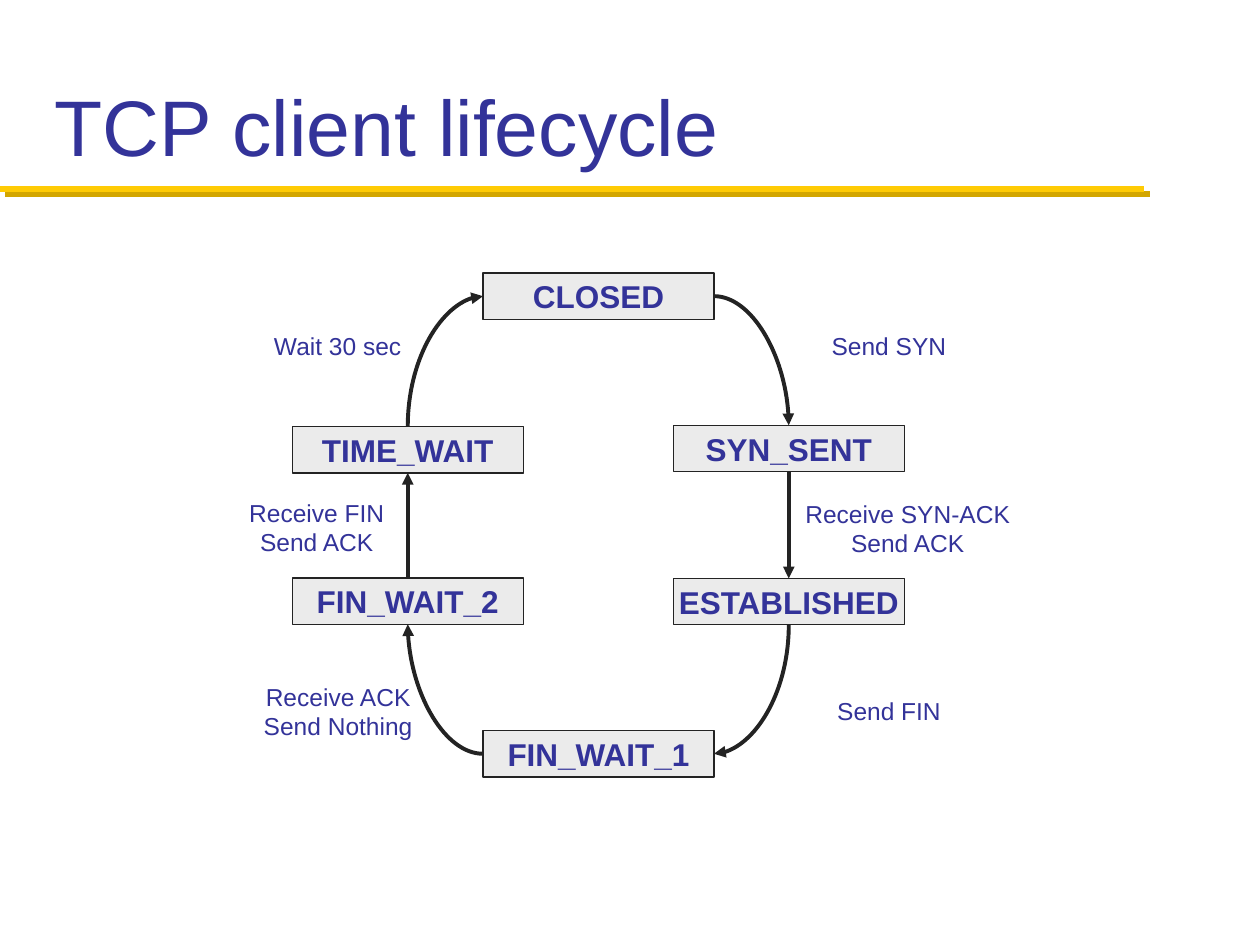
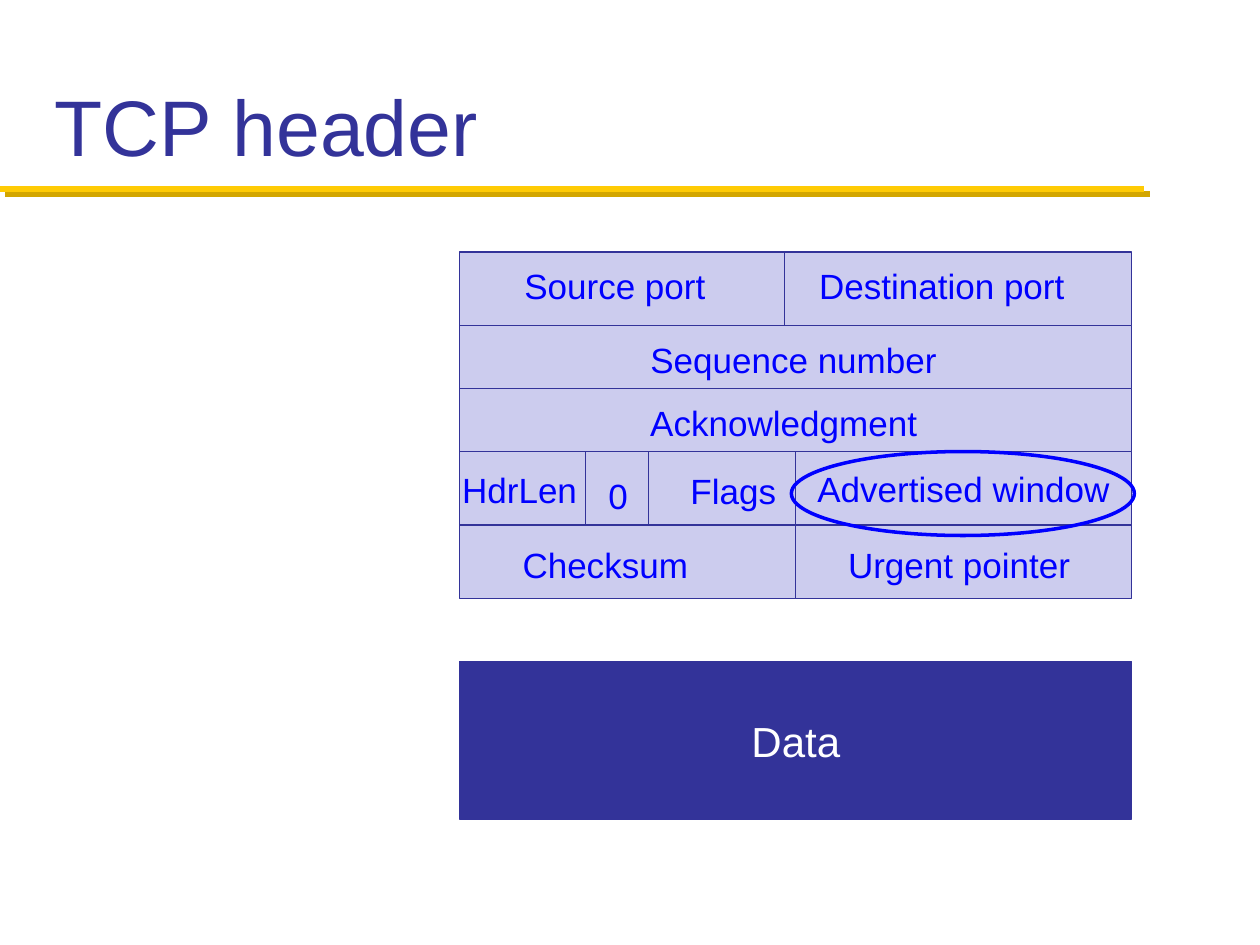
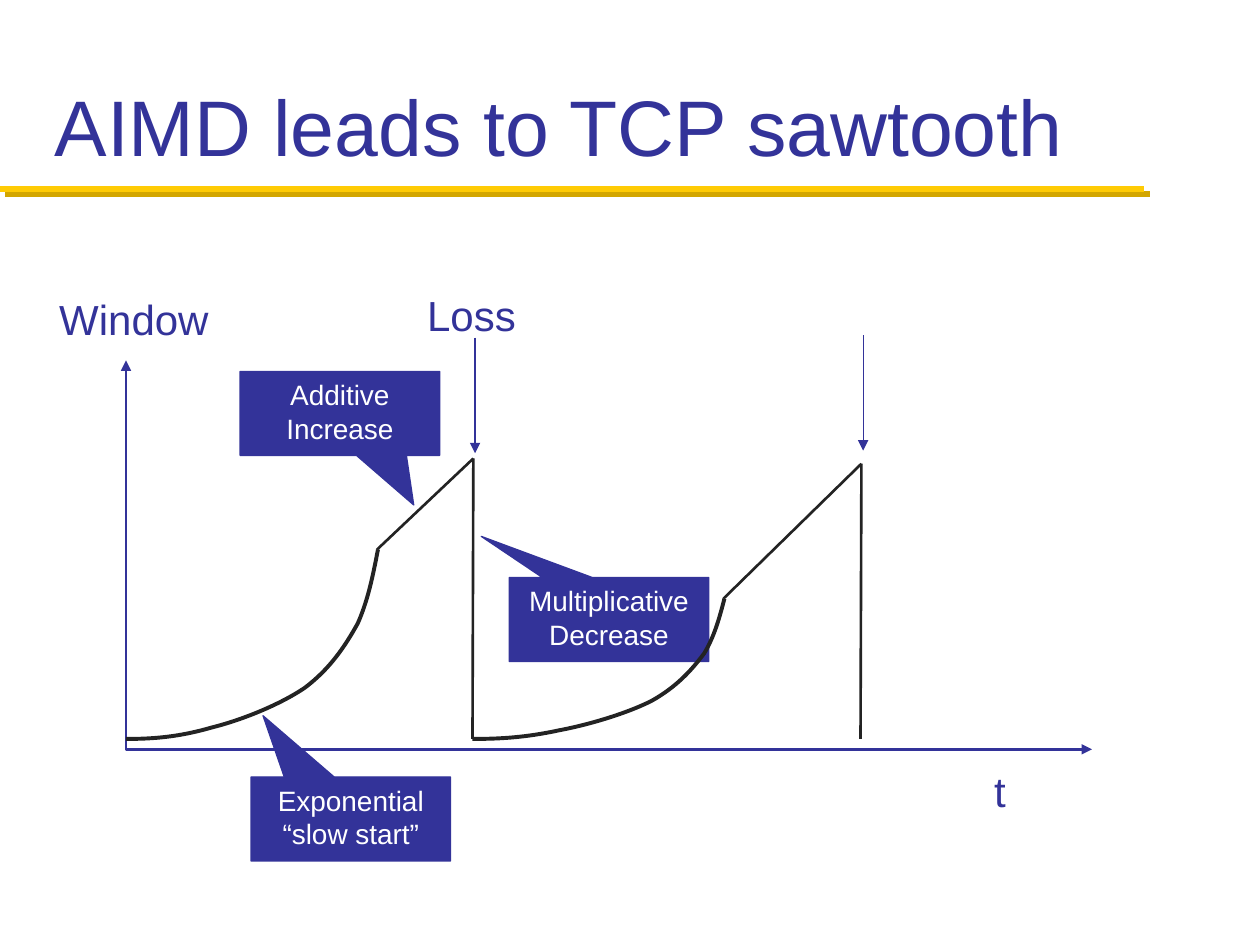
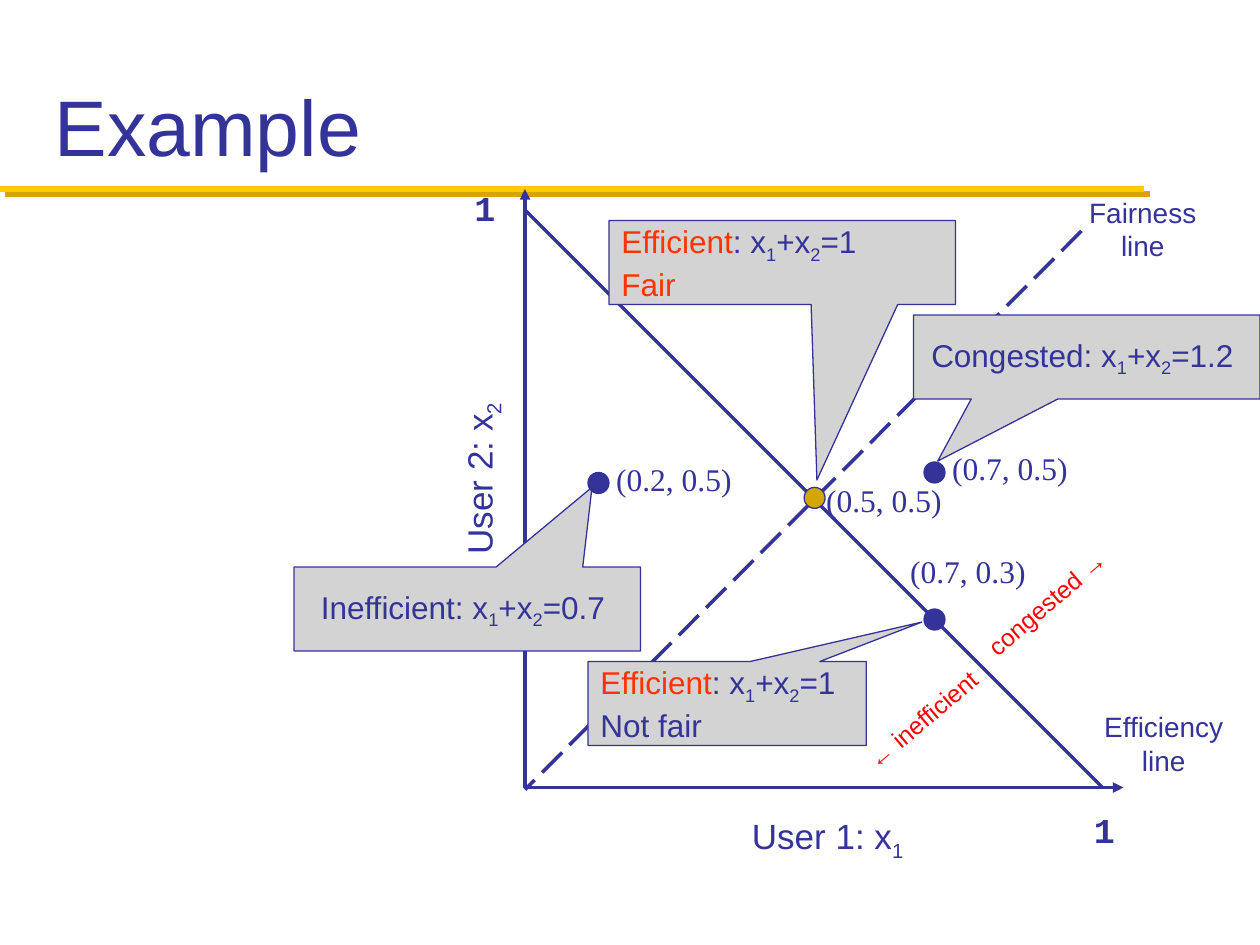
from lxml.etree import SubElement
from pptx import Presentation
from pptx.dml.color import RGBColor
from pptx.enum.dml import MSO_LINE
from pptx.enum.shapes import MSO_CONNECTOR as LINK, MSO_SHAPE as SHAPE
from pptx.enum.text import MSO_ANCHOR as ANCHOR, MSO_AUTO_SIZE as FIT, PP_ALIGN as ALIGN
from pptx.oxml.ns import qn
from pptx.util import Pt

# Shared look
NAVY, BLUE, WHITE = "333399", "0000FF", "FFFFFF"
YELLOW, GOLD = "FFCB05", "D3A600"
INK, PALE, LILAC, GRAY = "232323", "EBEBEB", "CCCCEE", "D3D3D3"
ORANGE, RED = "FF3300", "FF0000"
SUB = {"sub": True}
TOP, LEFT, BOTTOM, RIGHT = range(4)


def rgb(value):
    return RGBColor.from_string(value)


def points(*values):
    return [Pt(value) for value in values]


# Text
def add_span(para, text, size, color, font, bold=False, sub=False):
    span = para.add_run()
    span.text = text
    span.font.size = Pt(size)
    span.font.name = font
    span.font.bold = bold
    span.font.color.rgb = rgb(color)
    if sub:
        span._r.get_or_add_rPr().set("baseline", "-25000")


def write(box, paras, size=14, color=NAVY, font="Arial", bold=False,
          align=ALIGN.LEFT, anchor=ANCHOR.TOP, wrap=False, fit=FIT.NONE):
    """Fill a box; paras is a string or a list of lists of (text, format) spans."""
    if isinstance(paras, str):
        paras = [[(line, {})] for line in paras.split("\n")]
    frame = box.text_frame
    frame.word_wrap = wrap
    frame.auto_size = fit
    frame.vertical_anchor = anchor
    base = {"size": size, "color": color, "font": font, "bold": bold}
    for index, spans in enumerate(paras):
        para = frame.paragraphs[0] if index == 0 else frame.add_paragraph()
        para.alignment = align
        for text, extra in spans:
            for part, line in enumerate(text.split("\v")):
                if part:
                    para.add_line_break()
                add_span(para, line, **{**base, **extra})


def add_label(page, place, paras, fill=None, turn=0, **style):
    box = page.shapes.add_textbox(*points(*place))
    if fill:
        box.fill.solid()
        box.fill.fore_color.rgb = rgb(fill)
    write(box, paras, **{"fit": FIT.SHAPE_TO_FIT_TEXT, **style})
    box.rotation = turn
    return box


# Shapes and lines
def set_line(item, color, width, arrows=()):
    item.line.color.rgb = rgb(color)
    item.line.width = Pt(width)
    for end in arrows:
        SubElement(item.line._get_or_add_ln(), qn(f"a:{end}End"), type="triangle")


def add_box(page, kind, place, fill=None, line=NAVY, width=0.75):
    box = page.shapes.add_shape(kind, *points(*place))
    box.shadow.inherit = False
    if fill:
        box.fill.solid()
        box.fill.fore_color.rgb = rgb(fill)
    else:
        box.fill.background()
    set_line(box, line, width)
    return box


def add_callout(page, place, tip, paras, fill, **style):
    box = add_box(page, SHAPE.RECTANGULAR_CALLOUT, place, fill)
    box.adjustments[0], box.adjustments[1] = tip
    write(box, paras, wrap=True, **style)


def add_line(page, start, end, color=NAVY, width=2, arrows=(), dash=None):
    line = page.shapes.add_connector(LINK.STRAIGHT, *points(*start, *end))
    set_line(line, color, width, arrows)
    if dash:
        line.line.dash_style = dash
    SubElement(line.element.spPr, qn("a:effectLst"))
    return line


def add_outline(page, corners, color, width, arrows=()):
    corners = [points(*corner) for corner in corners]
    builder = page.shapes.build_freeform(*corners[0])
    builder.add_line_segments(corners[1:], close=False)
    outline = builder.convert_to_shape()
    outline.shadow.inherit = False
    outline.fill.background()
    set_line(outline, color, width, arrows)
    return outline


def join(page, first, first_side, second, second_side):
    """Arrow between two states: straight, or a quarter bend between unlike sides."""
    upright = (TOP, BOTTOM)
    bent = (first_side in upright) != (second_side in upright)
    arrow = page.shapes.add_connector(LINK.CURVE if bent else LINK.STRAIGHT, 0, 0, 0, 0)
    arrow.begin_connect(first, first_side)
    arrow.end_connect(second, second_side)
    set_line(arrow, INK, 2.25, ["tail"])
    properties = arrow.element.spPr
    SubElement(properties, qn("a:effectLst"))
    if not bent:
        return
    properties.find(qn("a:prstGeom")).set("prst", "curvedConnector2")
    if first_side in upright:
        # A bend that starts upright is a turned one with its sides swapped
        middle_x = arrow.left + arrow.width // 2
        middle_y = arrow.top + arrow.height // 2
        frame = properties.find(qn("a:xfrm"))
        for flip in ("flipH", "flipV"):
            frame.attrib.pop(flip, None)
        arrow.width, arrow.height = arrow.height, arrow.width
        arrow.left = middle_x - arrow.width // 2
        arrow.top = middle_y - arrow.height // 2
        arrow.rotation = 90 if first_side == BOTTOM else 270


# Pages
def add_page(deck, title):
    page = deck.slides.add_slide(deck.slide_layouts[5])
    head = page.shapes.title
    head.left, head.top, head.width, head.height = points(24, 12, 672, 90)
    write(head, title, size=45, anchor=ANCHOR.BOTTOM, wrap=True)
    return page


def add_band(page):
    """Draw the yellow rule with its gold shadow and move it to the layout."""
    band = add_line(page, (0, 108), (654, 108), YELLOW, 3.5)
    effects = band.element.spPr.find(qn("a:effectLst"))
    shadow = SubElement(effects, qn("a:outerShdw"), blurRad="0",
                        dist=str(Pt(4.2)), dir="2700000", algn="ctr", rotWithShape="0")
    SubElement(shadow, qn("a:srgbClr"), val=GOLD)
    page.slide_layout.shapes.element.append(band.element)


def lifecycle(deck):
    page = add_page(deck, "TCP client lifecycle")
    add_band(page)

    # States
    places = {
        "CLOSED": (276, 156), "SYN_SENT": (384.75, 243),
        "ESTABLISHED": (384.75, 330.5), "FIN_WAIT_1": (276, 417.5),
        "FIN_WAIT_2": (167, 330.25), "TIME_WAIT": (167, 243.75),
    }
    states = {}
    for name, corner in places.items():
        states[name] = add_box(page, SHAPE.RECTANGLE, (*corner, 132, 26.5), PALE, INK)
        write(states[name], name, size=18, bold=True, align=ALIGN.CENTER,
              anchor=ANCHOR.MIDDLE)

    # Transitions, clockwise from the first state
    sides = [(RIGHT, TOP), (BOTTOM, TOP), (BOTTOM, RIGHT),
             (LEFT, BOTTOM), (TOP, BOTTOM), (TOP, LEFT)]
    ring = list(states.values())
    for index, (leave, enter) in enumerate(sides):
        join(page, ring[index], leave, ring[(index + 1) % len(ring)], enter)

    for place, text in [
        ((467.75, 185.5, 80.5, 24.5), "Send SYN"),
        ((452.5, 281.5, 132.5, 41), "Receive SYN-ACK\nSend ACK"),
        ((471, 394, 74, 24.5), "Send FIN"),
        ((143.25, 386, 100, 41), "Receive ACK\nSend Nothing"),
        ((135, 281, 92, 41), "Receive FIN\nSend ACK"),
        ((149, 185.5, 88, 24.5), "Wait 30 sec"),
    ]:
        add_label(page, place, text, align=ALIGN.CENTER)


def header(deck):
    page = add_page(deck, "TCP header")

    # Field grid: row height and, where a row is split, the x of the split
    left, right, top = 262.75, 646.75, 144
    for height, splits in [(42, [448.5]), (36, []), (36, []), (42, [454.5]), (42, [454.5])]:
        edges = [left, *splits, right]
        for start, end in zip(edges, edges[1:]):
            add_box(page, SHAPE.RECTANGLE, (start, top, end - start, height), LILAC)
        top += height
    for x in (334.75, 370.75):
        add_line(page, (x, 258), (x, 300), width=0.75)

    # Field names
    for x, y, width, name in [
        (292.5, 147.75, 118, "Source port"), (461, 147.75, 155, "Destination port"),
        (364.5, 189.75, 178, "Sequence number"), (364.5, 225.75, 168.5, "Acknowledgment"),
        (460, 263.5, 183, "Advertised window"), (387.5, 264.75, 64, "Flags"),
        (340.5, 267.75, 26, "0"), (291.5, 307, 109, "Checksum"),
        (477.5, 307, 143, "Urgent pointer"),
    ]:
        add_label(page, (x, y, width, 31), name, LILAC, size=20, color=BLUE)
    add_label(page, (257, 264.25, 84, 31), "HdrLen", size=20, color=BLUE, wrap=True)

    data = add_box(page, SHAPE.RECTANGLE, (left, 378, right - left, 90), NAVY)
    write(data, "Data", size=24, color=WHITE, align=ALIGN.CENTER, anchor=ANCHOR.MIDDLE)
    add_box(page, SHAPE.OVAL, (452.25, 258, 196, 48), line=BLUE, width=2)


def add_slow_start(page, left, top, width, height):
    """Exponential growth curve, as four cubic segments from the top right."""
    shares = [(1, 0), (0.98, 0.14), (0.96, 0.27), (0.92, 0.39), (0.87, 0.51),
              (0.81, 0.63), (0.71, 0.73), (0.61, 0.82), (0.46, 0.9), (0.34, 0.94),
              (0.21, 0.99), (0.11, 1), (0, 1)]
    corners = [(left + x * width, top + y * height) for x, y in shares]
    curve = add_outline(page, corners, INK, 2.25)
    track = next(curve.element.iter(qn("a:path")))
    steps = track.findall(qn("a:lnTo"))
    for index in range(0, len(steps), 3):
        bend = SubElement(track, qn("a:cubicBezTo"))
        for step in steps[index:index + 3]:
            bend.append(step[0])
            track.remove(step)


def sawtooth(deck):
    page = add_page(deck, "AIMD leads to TCP sawtooth")

    # Axes and loss marks
    add_outline(page, [(72, 206), (72, 428.25), (624, 428.25)], NAVY, 1.5, ["head", "tail"])
    for x, y in [(271.5, 193), (493.25, 191.5)]:
        add_line(page, (x, y), (x, y + 66), width=0.75, arrows=["tail"])
    for place, text in [((237, 162, 65.5, 36), "Loss"), ((561, 434, 21, 36), "t"),
                        ((26.75, 164, 101, 36), "Window")]:
        add_label(page, place, text, size=24)

    # Phases
    for corner, tip, text in [
        ((143.5, 444), (-0.44, -1.23), "Exponential\v“slow start”"),
        ((291, 330), (-0.64, -0.99), "Multiplicative Decrease"),
        ((137.25, 212.25), (0.37, 1.09), "Additive Increase"),
    ]:
        add_callout(page, (*corner, 114, 48), tip, text, NAVY, size=16, color=WHITE,
                    align=ALIGN.CENTER)

    # Teeth: slow start, linear rise, drop
    floor = 422.25
    for left, bend_y, peak_x, peak_y in [(72, 314, 270.5, 262), (270, 342, 492.25, 265)]:
        add_slow_start(page, left, bend_y, 144, floor - bend_y)
        add_line(page, (left + 143.5, bend_y), (peak_x, peak_y), INK, 1.5)
        add_line(page, (peak_x, peak_y), (peak_x - 0.5, floor), INK, 1.5)


def sum_spans(word, total, color=NAVY):
    return [(word, {"color": color}), (": x", {}), ("1", SUB), ("+x", {}), ("2", SUB),
            (f"={total}", {})]


def example(deck):
    page = add_page(deck, "Example")

    # Axes, fairness line and efficiency line
    origin = (300, 450)
    add_line(page, origin, (300, 108), arrows=["tail"])
    add_line(page, (618, 132), (300, 451.25), dash=MSO_LINE.LONG_DASH)
    add_line(page, origin, (642, 450), arrows=["tail"])
    add_line(page, (300, 120), (630, 450))

    for place, user, turn in [((422, 462, 102, 31), "1", 0), ((222.5, 258, 102, 31), "2", 270)]:
        add_label(page, place, [[(f"User {user}: x", {}), (user, SUB)]], turn=turn,
                  size=20, align=ALIGN.CENTER)
    for place, text in [((615, 108, 76, 46), "Fairness\nline"),
                        ((623.5, 402, 83, 46), "Efficiency\nline")]:
        add_label(page, place, text, size=16, align=ALIGN.CENTER)
    for corner in [(618, 458.5), (264, 103)]:
        add_label(page, (*corner, 24.5, 29), "1", size=20, font="Courier New", bold=True)

    # Allocations: callout, dot and coordinates
    for place, tip, paras, align, dot, fill, corner, text in [
        ((168, 324, 198, 48), (0.36, -1.45), [sum_spans("Inefficient", "0.7 ")],
         ALIGN.CENTER, (336, 270), NAVY, (345, 259.25), "(0.2, 0.5)"),
        ((522, 180, 198, 48), (-0.43, 1.24), [sum_spans("Congested", "1.2 ")],
         ALIGN.CENTER, (528, 264), NAVY, (537, 253.25), "(0.7, 0.5)"),
        ((348, 126, 198, 48), (0.1, 2.59),
         [sum_spans("Efficient", "1", ORANGE), [("Fair", {"color": ORANGE})]],
         ALIGN.LEFT, (459.5, 278.5), GOLD, (465, 271.25), "(0.5, 0.5)"),
        ((336, 378, 159, 48), (0.7, -0.97),
         [sum_spans("Efficient", "1", ORANGE), [("Not fair", {})]],
         ALIGN.LEFT, (528, 348), NAVY, (513, 311.75), "(0.7, 0.3)"),
    ]:
        add_callout(page, place, tip, paras, GRAY, size=18, align=align, anchor=ANCHOR.MIDDLE)
        add_box(page, SHAPE.OVAL, (*dot, 12, 12), fill)
        add_label(page, (*corner, 81.5, 29), text, size=18, font="Times New Roman")

    # Sides of the efficiency line
    for place, text in [((549.5, 332.5, 97, 24), "congested →"),
                        ((481, 399, 92, 24), "← inefficient")]:
        add_label(page, place, text, turn=319.6, color=RED, align=ALIGN.CENTER)


def main():
    deck = Presentation()
    deck.slide_width, deck.slide_height = points(720, 540)
    for build in (lifecycle, header, sawtooth, example):
        build(deck)
    deck.save("out.pptx")


if __name__ == "__main__":
    main()
